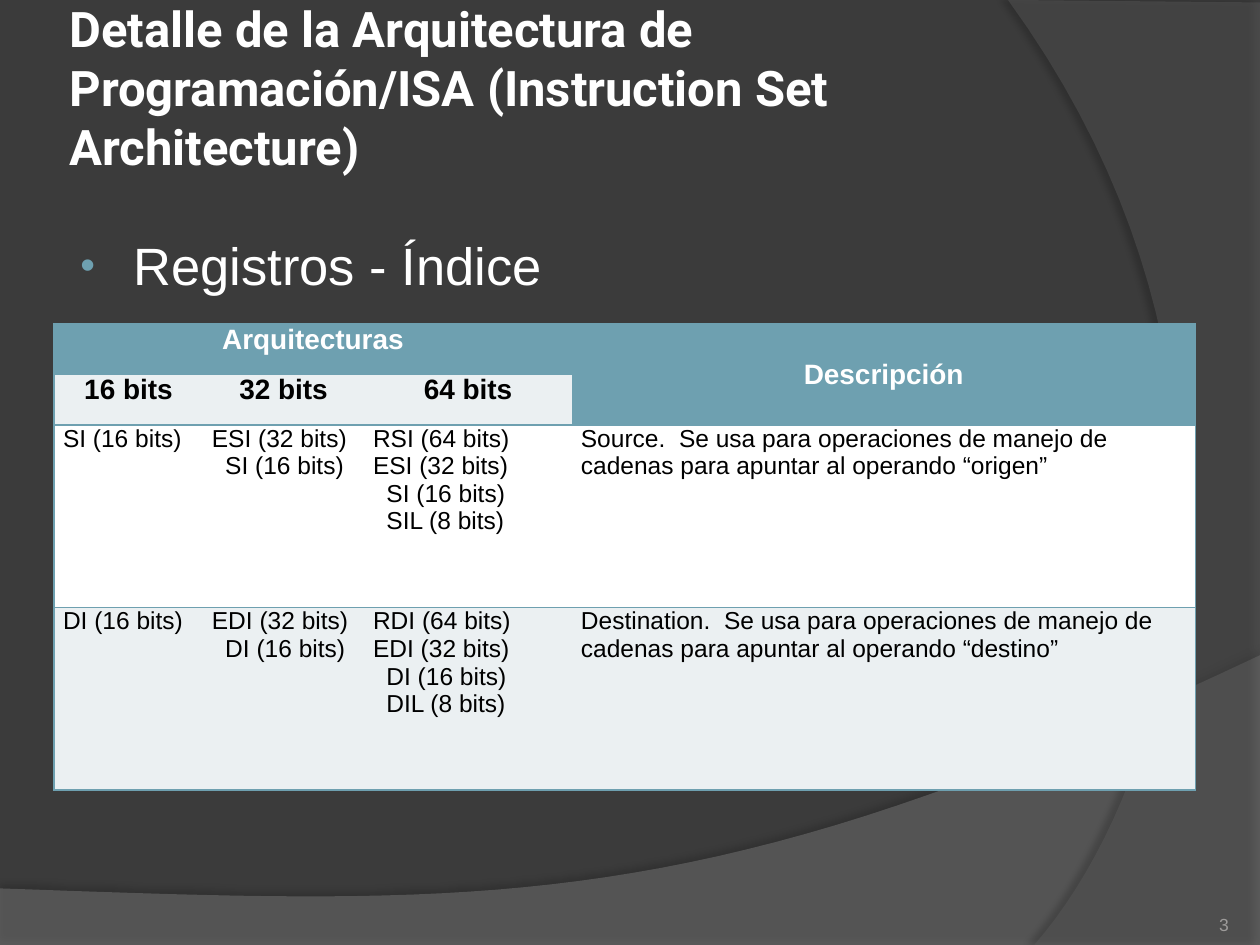
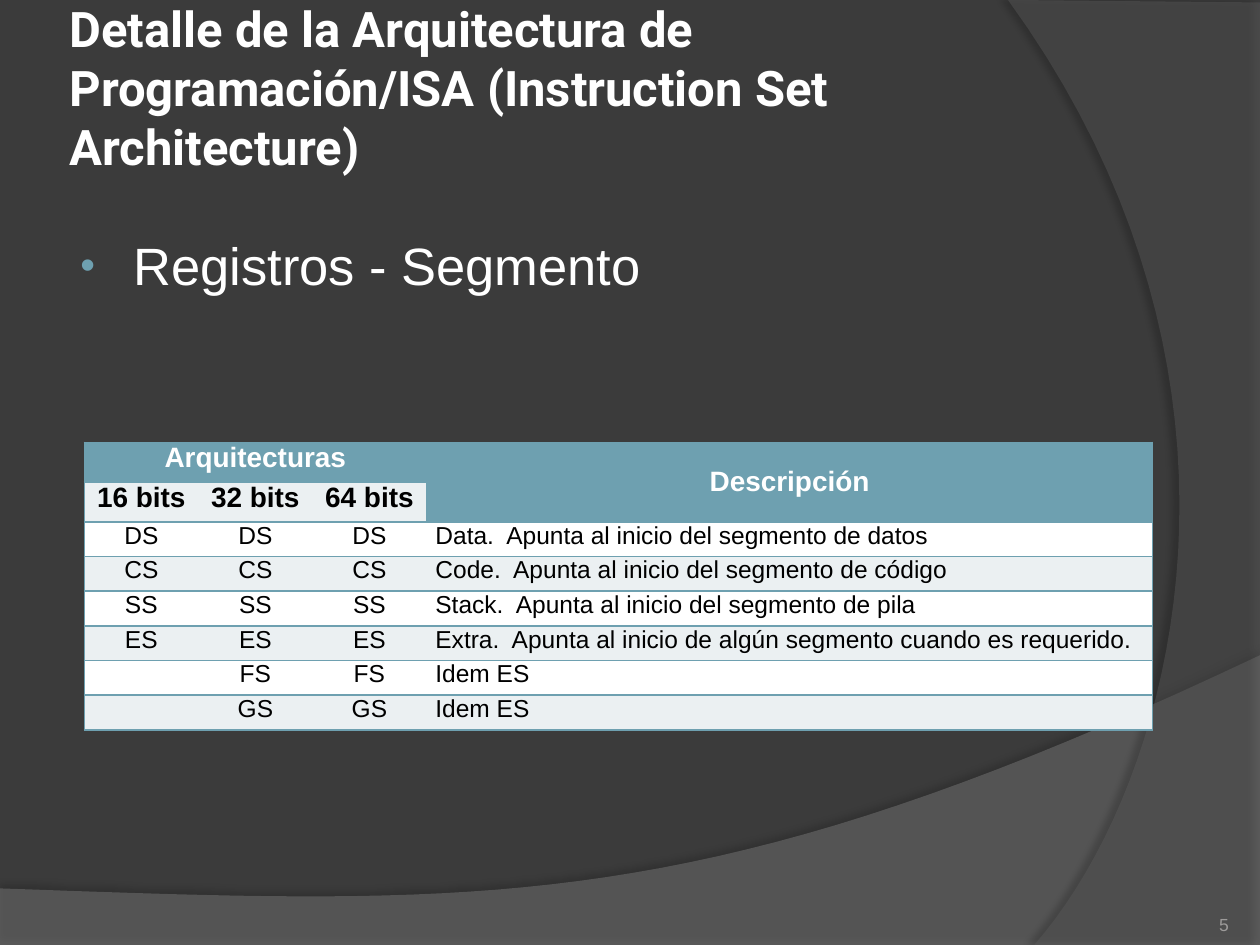
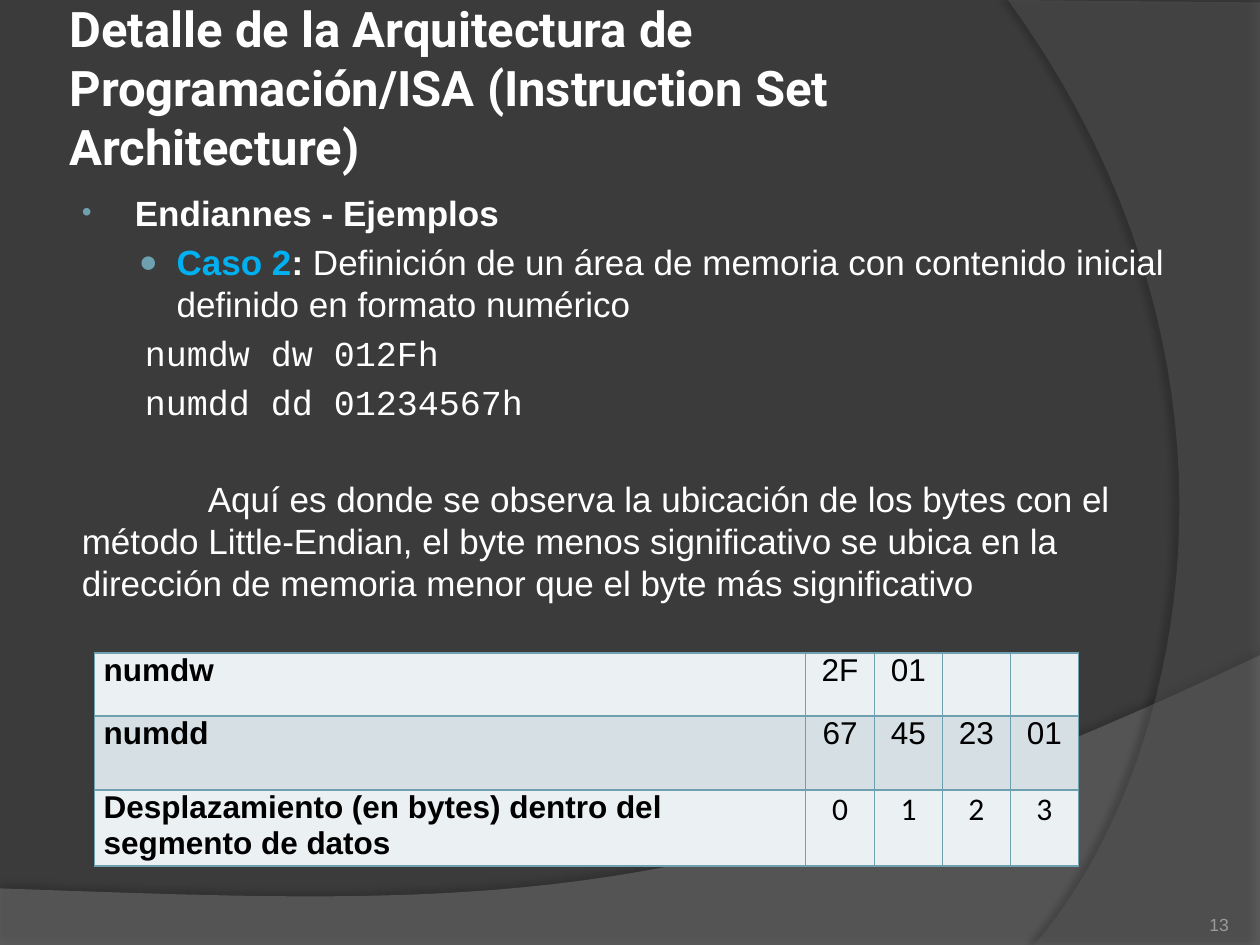
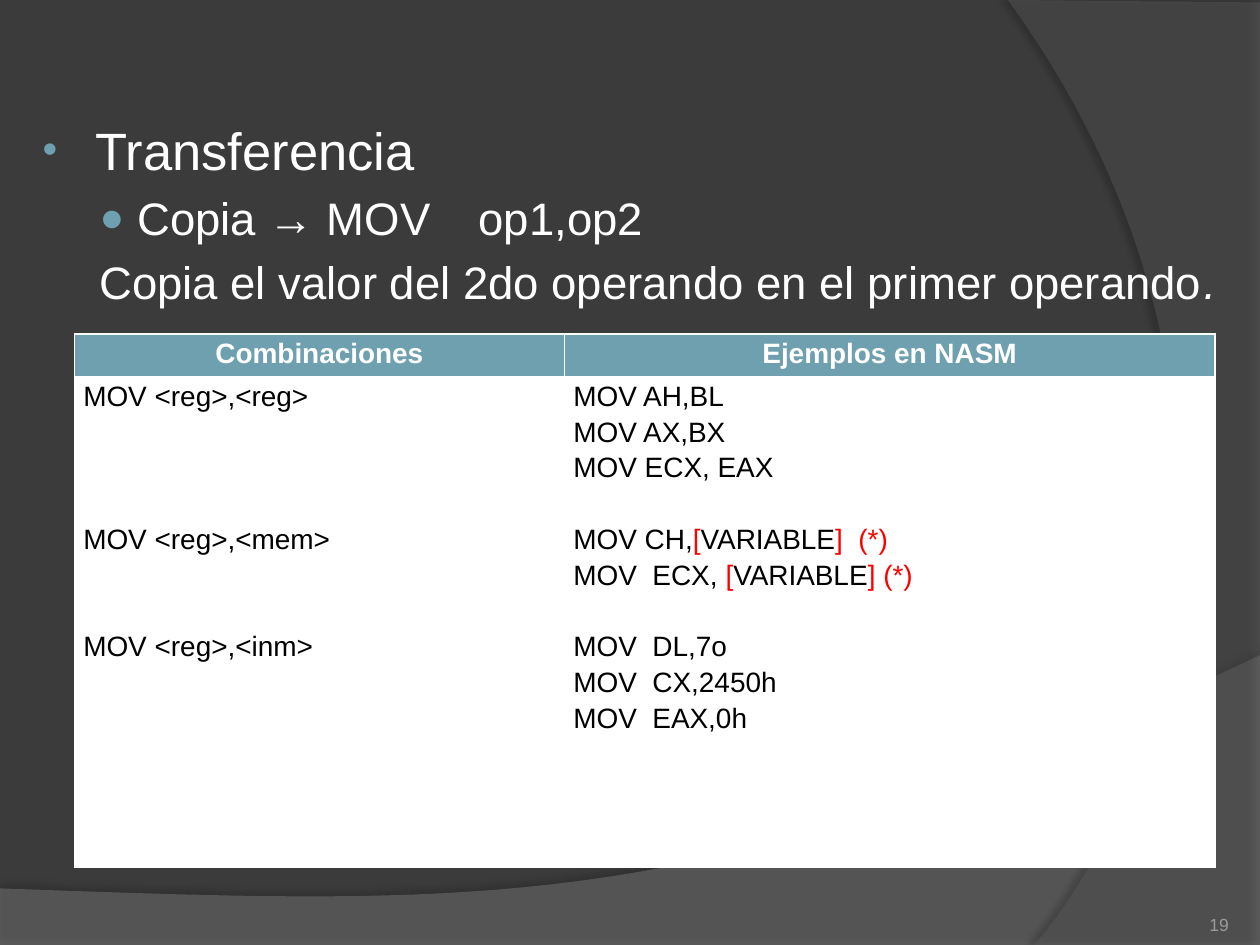
from dataclasses import dataclass, replace

from lxml import etree
from pptx import Presentation
from pptx.dml.color import RGBColor
from pptx.enum.text import MSO_ANCHOR, PP_ALIGN
from pptx.oxml.ns import qn
from pptx.util import Cm, Pt

LEFT, CENTER, RIGHT = PP_ALIGN.LEFT, PP_ALIGN.CENTER, PP_ALIGN.RIGHT
TOP, MIDDLE, BOTTOM = MSO_ANCHOR.TOP, MSO_ANCHOR.MIDDLE, MSO_ANCHOR.BOTTOM
TITLE_ONLY, BLANK = 5, 6

WIDTH, HEIGHT = 25.4, 19.05
BACKGROUND, TEAL, WHITE, BLACK = "3B3B3B", "6EA0B0", "FFFFFF", "000000"
PALE, MIST, GRAY, SKY, RED = "EBF0F2", "D5DFE4", "9D9B9A", "00B0F0", "FF0000"
NO_TABLE_STYLE = "{2D5ABB26-0587-4C30-8999-92F81FD0307C}"

TITLE = "Detalle de la Arquitectura de Programación/ISA (Instruction Set Architecture)"
TITLE_BOX = (1.27, 0.76, 20.75, 3.18)
NUMBER_BOX = (22.66, 17.83, 2.11, 1.02)
LISTING_LINE = 20.45  # height in points of one line of the listing table


@dataclass
class Para:
    """One paragraph; text is a string or a list of (text, font settings) runs."""
    text: object
    size: float = 14
    color: str = BLACK
    bold: bool = False
    font: str = "Arial"
    align: object = LEFT
    left: float = 0
    first: float = 0
    before: float = 0
    spacing: float = None
    bullet: tuple = None


def rgb(color):
    return RGBColor.from_string(color)


def place(shape, box):
    shape.left, shape.top, shape.width, shape.height = map(Cm, box)


def style_font(font, size=None, color=None, bold=None, name=None, italic=None):
    if size is not None:
        font.size = Pt(size)
    if color is not None:
        font.color.rgb = rgb(color)
    if bold is not None:
        font.bold = bold
    if name is not None:
        font.name = name
    if italic is not None:
        font.italic = italic


def add_bullet(properties, char, percent):
    color = etree.SubElement(properties, qn("a:buClr"))
    etree.SubElement(color, qn("a:srgbClr"), val=TEAL)
    etree.SubElement(properties, qn("a:buSzPct"), val=str(percent * 1000))
    etree.SubElement(properties, qn("a:buFont"), typeface="Arial")
    etree.SubElement(properties, qn("a:buChar"), char=char)


def write(frame, paras):
    for i, para in enumerate(paras):
        line = frame.add_paragraph() if i else frame.paragraphs[0]
        properties = line._p.get_or_add_pPr()
        properties.set("marL", str(Cm(para.left)))
        properties.set("indent", str(Cm(para.first)))
        if para.bullet:
            add_bullet(properties, *para.bullet)
        line.alignment = para.align
        if para.before:
            line.space_before = Pt(para.before)
        if para.spacing:
            line.line_spacing = para.spacing
        style_font(line.font, para.size, para.color, para.bold, para.font)
        if not para.text:
            etree.SubElement(line._p, qn("a:endParaRPr"), sz=str(para.size * 100))
            continue
        runs = [(para.text, {})] if isinstance(para.text, str) else para.text
        for text, settings in runs:
            run = line.add_run()
            run.text = text
            style_font(run.font, **settings)


def set_insets(frame, left, top, right, bottom):
    frame.margin_left, frame.margin_top = Cm(left), Cm(top)
    frame.margin_right, frame.margin_bottom = Cm(right), Cm(bottom)


def add_text(slide, box, paras, insets=(0.25, 0.25, 0.25, 0.13), anchor=TOP):
    frame = slide.shapes.add_textbox(*map(Cm, box)).text_frame
    frame.word_wrap = True
    frame.vertical_anchor = anchor
    set_insets(frame, *insets)
    write(frame, paras)


def add_title(slide):
    title = slide.shapes.title
    place(title, TITLE_BOX)
    frame = title.text_frame
    frame.word_wrap = True
    frame.vertical_anchor = MIDDLE
    set_insets(frame, 0.13, 0.13, 0.13, 1.32)
    write(frame, [Para(TITLE, 28, WHITE, True, "Roboto")])


def new_slide(prs, number, titled=True):
    slide = prs.slides.add_slide(prs.slide_layouts[TITLE_ONLY if titled else BLANK])
    if titled:
        add_title(slide)
    add_text(slide, NUMBER_BOX, [Para(number, 10, GRAY, align=RIGHT)],
             (0, 0, 0, 0), BOTTOM)
    return slide


# Curved bands of the background

def curve(start, control1, control2, end, steps=40):
    """Points of a cubic Bezier curve, both ends included."""
    points = []
    for i in range(steps + 1):
        t = i / steps
        weights = ((1 - t) ** 3, 3 * t * (1 - t) ** 2, 3 * t ** 2 * (1 - t), t ** 3)
        points.append(tuple(
            sum(w * p[axis] for w, p in zip(weights, (start, control1, control2, end)))
            for axis in (0, 1)))
    return points


def add_band(slide, points, color, opacity, shadow_opacity, distance, direction):
    corners = [(Cm(x), Cm(y)) for x, y in points]
    builder = slide.shapes.build_freeform(*corners[0])
    builder.add_line_segments(corners[1:], close=True)
    band = builder.convert_to_shape()
    band.fill.solid()
    band.fill.fore_color.rgb = rgb(color)
    fill_color = band.element.spPr.find(qn("a:solidFill"))[0]
    etree.SubElement(fill_color, qn("a:alpha"), val=str(opacity * 1000))
    band.line.fill.background()
    band.shadow.inherit = False
    effects = band.element.spPr.find(qn("a:effectLst"))
    shadow = etree.SubElement(effects, qn("a:outerShdw"), blurRad=str(Pt(4)),
                              dist=str(Pt(distance)), dir=str(direction * 60000),
                              algn="ctr", rotWithShape="0")
    shadow_color = etree.SubElement(shadow, qn("a:srgbClr"), val=BLACK)
    etree.SubElement(shadow_color, qn("a:alpha"), val=str(shadow_opacity * 1000))
    return band


def decorate_master(prs, slide):
    """Draw the bands on a slide and hand them over to the master."""
    master = prs.slide_master
    master.background.fill.solid()
    master.background.fill.fore_color.rgb = rgb(BACKGROUND)
    wave = [(0, HEIGHT), (WIDTH, HEIGHT)] + curve(
        (WIDTH, 13.21), (14.2, 18.52), (9.93, 18.26), (0, 17.91))
    bow = [(WIDTH, 0.05), (WIDTH, HEIGHT)] + curve(
        (20.85, HEIGHT), (23.75, 15.72), (25.86, 7.62), (20.32, 0))
    bands = (add_band(slide, wave, "7F7F7F", 45, 35, 3.5, 270),
             add_band(slide, bow, "5E5E5E", 40, 45, 4, 180))
    for i, band in enumerate(bands):
        band.element.nvSpPr.cNvPr.set("id", str(100 + i))
        master.shapes.element.insert(2 + i, band.element)


# Tables

def add_border(cell, side, color):
    line = etree.SubElement(cell._tc.get_or_add_tcPr(), qn("a:ln" + side),
                            w=str(Pt(1)))
    fill = etree.SubElement(line, qn("a:solidFill"))
    etree.SubElement(fill, qn("a:srgbClr"), val=color)


def add_grid(slide, origin, widths, heights):
    box = (*origin, sum(widths), sum(heights))
    frame = slide.shapes.add_table(len(heights), len(widths), *map(Cm, box))
    next(frame.element.iter(qn("a:tableStyleId"))).text = NO_TABLE_STYLE
    table = frame.table
    table.first_row = table.horz_banding = False
    for column, width in zip(table.columns, widths):
        column.width = Cm(width)
    for row, height in zip(table.rows, heights):
        row.height = Cm(height)
    return table


def fill_cell(cell, paras, fill, sides="LRTB", border=TEAL):
    for side in "LRTB":
        if side in sides:
            add_border(cell, side, border)
    cell.fill.solid()
    cell.fill.fore_color.rgb = rgb(fill)
    set_insets(cell, 0.18, 0, 0.18, 0)
    write(cell.text_frame, paras)


def add_register_table(slide, origin, widths, heights, rows, align):
    """Two header rows, then banded rows whose cells hold lists of paragraphs."""
    table = add_grid(slide, origin, widths, heights)
    head = Para("", 16, WHITE, True, align=CENTER)
    last = len(widths) - 1
    top = [[replace(head, text=t)] for t in ("Arquitecturas", "", "", "Descripción")]
    sizes = [[replace(head, text=t, color=BLACK)]
             for t in ("16 bits", "32 bits", "64 bits", "")]
    body = [[[replace(p, align=align if c < last else LEFT) for p in paras]
             for c, paras in enumerate(row)] for row in rows]
    for r, row in enumerate([top, sizes] + body):
        for c, paras in enumerate(row):
            header = r == 0 or (r == 1 and c == last)
            fill = TEAL if header else PALE if r % 2 else WHITE
            sides = "TB" + ("L" if c == 0 else "") + ("R" if c == last else "")
            fill_cell(table.cell(r, c), paras, fill, sides)
    table.cell(0, 0).merge(table.cell(0, last - 1))
    table.cell(0, last).merge(table.cell(1, last))
    table.cell(0, last).vertical_anchor = MIDDLE


def add_memory_table(slide, origin, widths, heights, rows):
    table = add_grid(slide, origin, widths, heights)
    for r, (label, values) in enumerate(rows):
        fill = MIST if r % 2 else PALE
        font = "Calibri" if r == len(rows) - 1 else "Arial"
        fill_cell(table.cell(r, 0), [Para(label, 18, bold=True)], fill)
        for c, value in enumerate(values, 1):
            fill_cell(table.cell(r, c), [Para(value, 18, font=font, align=CENTER)], fill)


def add_listing_table(slide, origin, widths, heights, headings, columns):
    """Columns hold (blank lines before, text) pairs under their headings."""
    table = add_grid(slide, origin, widths, heights)
    for c, (heading, lines) in enumerate(zip(headings, columns)):
        fill_cell(table.cell(0, c),
                  [Para(heading, 16, WHITE, True, align=CENTER, spacing=1.15)],
                  TEAL, border=WHITE)
        paras = [Para(text, 16, before=gap * LISTING_LINE, spacing=1.15)
                 for gap, text in lines]
        fill_cell(table.cell(1, c), paras, WHITE, border=WHITE)


# Slides

def topic(text, size=30, bold=False):
    return Para(text, size, WHITE, bold, left=1.17, first=-1.07, bullet=("•", 80))


def subtopic(text, size):
    return Para(text, size, WHITE, left=2.01, first=-0.76, before=size / 5,
                bullet=("●", 90))


def register_names(*names):
    """The parts of a register; the 16 and 8 bit ones are set in after the first."""
    return [Para(name, left=0.27 if i and "(32" not in name else 0)
            for i, name in enumerate(names)]


def index_slide(prs):
    slide = new_slide(prs, "3")
    add_text(slide, (1.27, 4.45, 20.75, 12.57), [topic("Registros - Índice")])
    rows = []
    for name, role, target in (("SI", "Source", "origen"),
                               ("DI", "Destination", "destino")):
        word, double, quad = f"{name} (16 bits)", f"E{name} (32 bits)", f"R{name} (64 bits)"
        rows.append([
            register_names(word),
            register_names(double, word),
            register_names(quad, double, word, f"{name}L (8 bits)"),
            [Para(f"{role}.  Se usa para operaciones de manejo de cadenas "
                  f"para apuntar al operando “{target}”")]])
    add_register_table(slide, (1.09, 6.53), (3, 3.25, 4.19, 12.57),
                       (1.02, 1.02, 3.68, 3.68), rows, LEFT)
    return slide


def segment_slide(prs):
    slide = new_slide(prs, "5")
    add_text(slide, (1.27, 4.45, 20.75, 2.29), [topic("Registros - Segmento")])
    segments = (
        ("DS", "Data.  Apunta al inicio del segmento de datos"),
        ("CS", "Code.  Apunta al inicio del segmento de código"),
        ("SS", "Stack.  Apunta al inicio del segmento de pila"),
        ("ES", "Extra.  Apunta al inicio de algún segmento cuando es requerido."),
        ("FS", "Idem ES"),
        ("GS", "Idem ES"))
    rows = [[[Para(text)] for text in
             ("" if name in ("FS", "GS") else name, name, name, description)]
            for name, description in segments]
    add_register_table(slide, (1.7, 8.92), (2.3, 2.3, 2.3, 14.64),
                       [0.8] * 2 + [0.7] * len(segments), rows, CENTER)


def endianness_slide(prs):
    slide = new_slide(prs, "13")
    code = Para("", 20, WHITE, font="Courier New", left=0.1, before=4)
    add_text(slide, (1.3, 3.61, 23.19, 6.73), [
        topic("Endiannes - Ejemplos", 20, True),
        subtopic([("Caso 2", {"color": SKY, "bold": True}), (": ", {"bold": True}),
                  ("Definición de un área de memoria con contenido inicial "
                   "definido en formato numérico", {})], 20),
        replace(code, text="\tnumdw\tdw\t012Fh"),
        replace(code, text="\tnumdd\tdd\t01234567h"),
        Para("Aquí es donde se observa la ubicación de los bytes con el método "
             "Little-Endian, el byte menos significativo se ubica en la dirección "
             "de memoria menor que el byte más significativo",
             20, WHITE, left=0.1, first=2.54, before=31.5)])
    add_memory_table(slide, (1.91, 13.16), (14.33, 1.39, 1.37, 1.37, 1.37),
                     (1.27, 1.5, 1.42), (
        ("numdw", ("2F", "01", "", "")),
        ("numdd", ("67", "45", "23", "01")),
        ("Desplazamiento (en bytes) dentro del segmento de datos",
         ("0", "1", "2", "3"))))


def transfer_slide(prs):
    slide = new_slide(prs, "19", titled=False)
    add_text(slide, (0.51, 2.13, 24.41, 14.68), [
        topic("Transferencia"),
        subtopic("Copia → MOV\top1,op2", 26),
        Para([("Copia el valor del 2do operando en el primer operando", {}),
              (".", {"italic": True})], 26, WHITE, left=1.24, before=5.2)])
    red = {"color": RED}

    def memory_move(start, end):
        return [(start, {}), ("[", red), ("VARIABLE", {}), (end, red)]

    add_listing_table(
        slide, (1.5, 6.73), (9.88, 13.11), (0.86, 9.9),
        ("Combinaciones", "Ejemplos en NASM"), (
            ((0, "MOV <reg>,<reg>"), (3, "MOV <reg>,<mem>"), (2, "MOV <reg>,<inm>")),
            ((0, "MOV AH,BL"), (0, "MOV AX,BX"), (0, "MOV ECX, EAX"),
             (1, memory_move("MOV CH,", "]  (*)")),
             (0, memory_move("MOV  ECX, ", "] (*)")),
             (1, "MOV  DL,7o"), (0, "MOV  CX,2450h"), (0, "MOV  EAX,0h"))))


def main():
    prs = Presentation()
    prs.slide_width, prs.slide_height = Cm(WIDTH), Cm(HEIGHT)
    decorate_master(prs, index_slide(prs))
    segment_slide(prs)
    endianness_slide(prs)
    transfer_slide(prs)
    prs.save("out.pptx")


if __name__ == "__main__":
    main()
